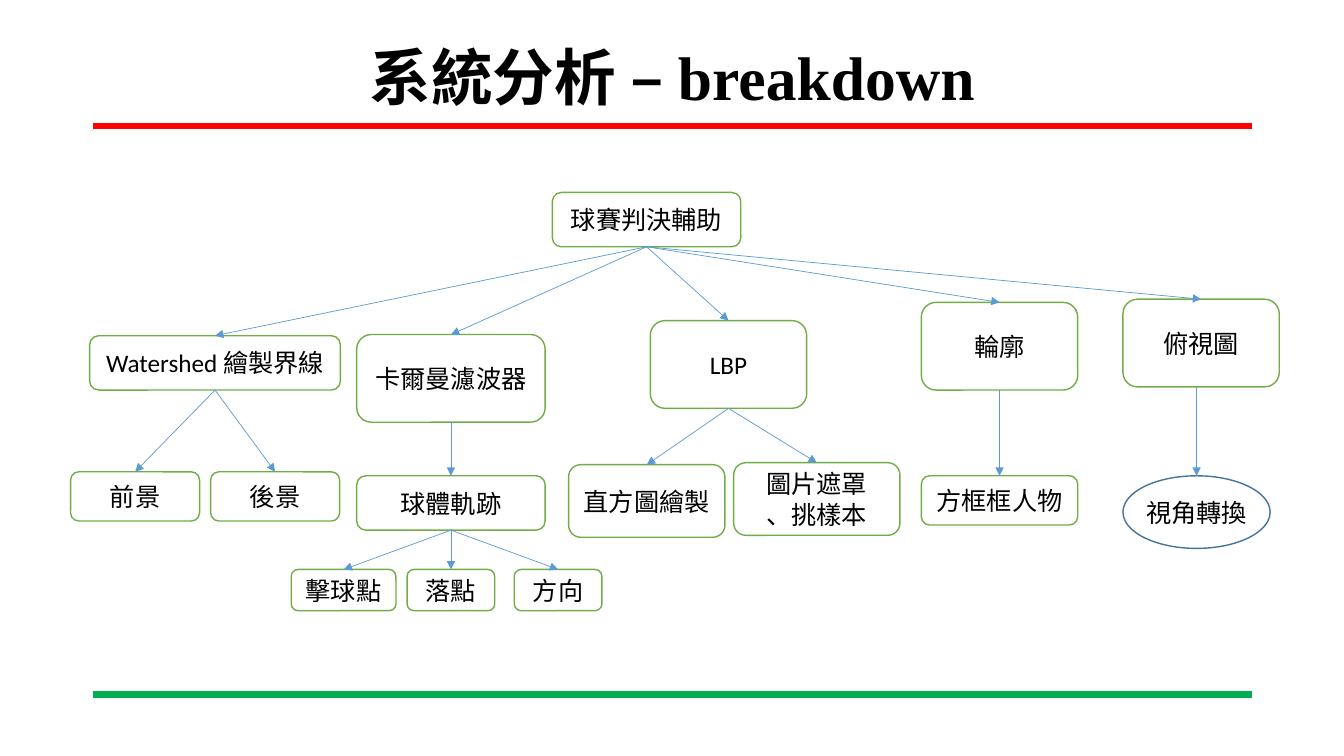
from dataclasses import dataclass

from lxml import etree
from pptx import Presentation
from pptx.dml.color import RGBColor
from pptx.enum.shapes import MSO_CONNECTOR, MSO_SHAPE
from pptx.enum.text import MSO_ANCHOR, PP_ALIGN
from pptx.oxml.ns import qn
from pptx.util import Cm, Pt

STRAIGHT = MSO_CONNECTOR.STRAIGHT
ROUNDED, OVAL = MSO_SHAPE.ROUNDED_RECTANGLE, MSO_SHAPE.OVAL
MIDDLE, CENTER = MSO_ANCHOR.MIDDLE, PP_ALIGN.CENTER
TOP, BOTTOM = 0, 2


@dataclass(frozen=True)
class Theme:
    text: RGBColor = RGBColor(0x00, 0x00, 0x00)
    node_fill: RGBColor = RGBColor(0xFF, 0xFF, 0xFF)
    node_line: RGBColor = RGBColor(0x70, 0xAD, 0x47)
    oval_line: RGBColor = RGBColor(0x43, 0x73, 0x9E)
    arrow: RGBColor = RGBColor(0x5B, 0x9B, 0xD5)
    top_rule: RGBColor = RGBColor(0xFF, 0x00, 0x00)
    bottom_rule: RGBColor = RGBColor(0x00, 0xB0, 0x50)
    title_font: str = "Times New Roman"
    body_font: str = "Calibri"
    title_size: int = 44
    body_size: int = 18
    rule_width: float = 4.5
    node_width: float = 1
    arrow_width: float = 0.5


THEME = Theme()


@dataclass(frozen=True)
class Box:
    left: float
    top: float
    width: float
    height: float

    def lengths(self):
        return Cm(self.left), Cm(self.top), Cm(self.width), Cm(self.height)


@dataclass(frozen=True)
class Node:
    """A part of the system; its box is in cm from the diagram's corner."""
    label: str
    box: Box
    children: tuple = ()
    kind: int = ROUNDED


BREAKDOWN = Node("球賽判決輔助", Box(12.14, 0, 4.75, 1.37), (
    Node("Watershed 繪製界線", Box(0.48, 3.61, 6.32, 1.37), (
        Node("前景", Box(0, 7.04, 3.25, 1.24)),
        Node("後景", Box(3.53, 7.04, 3.25, 1.24)),
    )),
    Node("卡爾曼濾波器", Box(7.21, 3.58, 4.75, 2.21), (
        Node("球體軌跡", Box(7.21, 7.14, 4.75, 1.37), (
            Node("擊球點", Box(5.56, 9.5, 2.64, 1.04)),
            Node("落點", Box(8.48, 9.5, 2.21, 1.04)),
            Node("方向", Box(11.18, 9.5, 2.21, 1.04)),
        )),
    )),
    Node("LBP", Box(14.61, 3.23, 3.94, 2.21), (
        Node("直方圖繪製", Box(12.55, 6.86, 3.94, 1.83)),
        Node("圖片遮罩\n、挑樣本", Box(16.71, 6.81, 4.19, 1.83)),
    )),
    Node("輪廓", Box(21.44, 2.77, 3.94, 2.21), (
        Node("方框框人物", Box(21.44, 7.14, 3.94, 1.24)),
    )),
    Node("俯視圖", Box(26.52, 2.69, 3.94, 2.21), (
        Node("視角轉換", Box(26.52, 7.14, 3.71, 1.83), kind=OVAL),
    )),
))


def write(frame, text, font_name, size, bold=False, spacing=None):
    frame.text = text
    frame.vertical_anchor = MIDDLE
    for paragraph in frame.paragraphs:
        paragraph.alignment = CENTER
        paragraph.line_spacing = spacing
        paragraph.font.name = font_name
        paragraph.font.size = Pt(size)
        paragraph.font.bold = bold
        paragraph.font.color.rgb = THEME.text


def add_line(slide, start, end, color, width):
    line = slide.shapes.add_connector(STRAIGHT, *start, *end)
    line.line.color.rgb = color
    line.line.width = Pt(width)
    etree.SubElement(line._element.spPr, qn("a:effectLst"))
    return line


def add_rule(slide, box, color):
    left, top, width, _ = box.lengths()
    add_line(slide, (left, top), (left + width, top), color, THEME.rule_width)


def add_title(slide, box, text):
    frame = slide.shapes.add_textbox(*box.lengths()).text_frame
    frame.word_wrap = True
    write(frame, text, THEME.title_font, THEME.title_size, True, 0.9)


def add_arrow(slide, parent, child, child_kind):
    """Arrow from the parent's bottom to the child's top."""
    child_x = child.left + child.width // 2
    # The arrow to the oval drops straight down
    start_x = child_x if child_kind == OVAL else parent.left + parent.width // 2
    arrow = add_line(slide, (start_x, parent.top + parent.height),
                     (child_x, child.top), THEME.arrow, THEME.arrow_width)
    if child_kind != OVAL:
        arrow.begin_connect(parent, BOTTOM)
    arrow.end_connect(child, TOP)
    etree.SubElement(arrow.line._get_or_add_ln(), qn("a:tailEnd"), type="triangle")


def add_oval_label(slide, box, text):
    """Label centred over the oval."""
    width, height = 3.07, 1.02
    label_box = Box(box.left + (box.width - width) / 2,
                    box.top + (box.height - height) / 2, width, height)
    frame = slide.shapes.add_textbox(*label_box.lengths()).text_frame
    frame.word_wrap = False
    write(frame, text, THEME.body_font, THEME.body_size)


def add_branch(slide, area, node):
    """Draw a node and, below it, all its children with arrows."""
    box = Box(area.left + node.box.left, area.top + node.box.top,
              node.box.width, node.box.height)
    part = slide.shapes.add_shape(node.kind, *box.lengths())
    part.shadow.inherit = False
    part.line.width = Pt(THEME.node_width)
    if node.kind == OVAL:
        part.fill.background()
        part.line.color.rgb = THEME.oval_line
        add_oval_label(slide, box, node.label)
    else:
        part.fill.solid()
        part.fill.fore_color.rgb = THEME.node_fill
        part.line.color.rgb = THEME.node_line
        write(part.text_frame, node.label, THEME.body_font, THEME.body_size)
    for child in node.children:
        add_arrow(slide, part, add_branch(slide, area, child), child.kind)
    return part


def main():
    deck = Presentation()
    deck.slide_width, deck.slide_height = Cm(33.87), Cm(19.05)
    slide = deck.slides.add_slide(deck.slide_layouts[6])

    # Frame: rules above and below the content
    add_rule(slide, Box(2.34, 3.18, 29.21, 0), THEME.top_rule)
    add_rule(slide, Box(2.34, 17.5, 29.21, 0), THEME.bottom_rule)

    # Title and breakdown tree
    add_title(slide, Box(2.34, 1.02, 29.21, 2.01), "系統分析 – breakdown")
    add_branch(slide, Box(1.78, 4.85, 30.46, 10.54), BREAKDOWN)

    deck.save("out.pptx")


if __name__ == "__main__":
    main()
